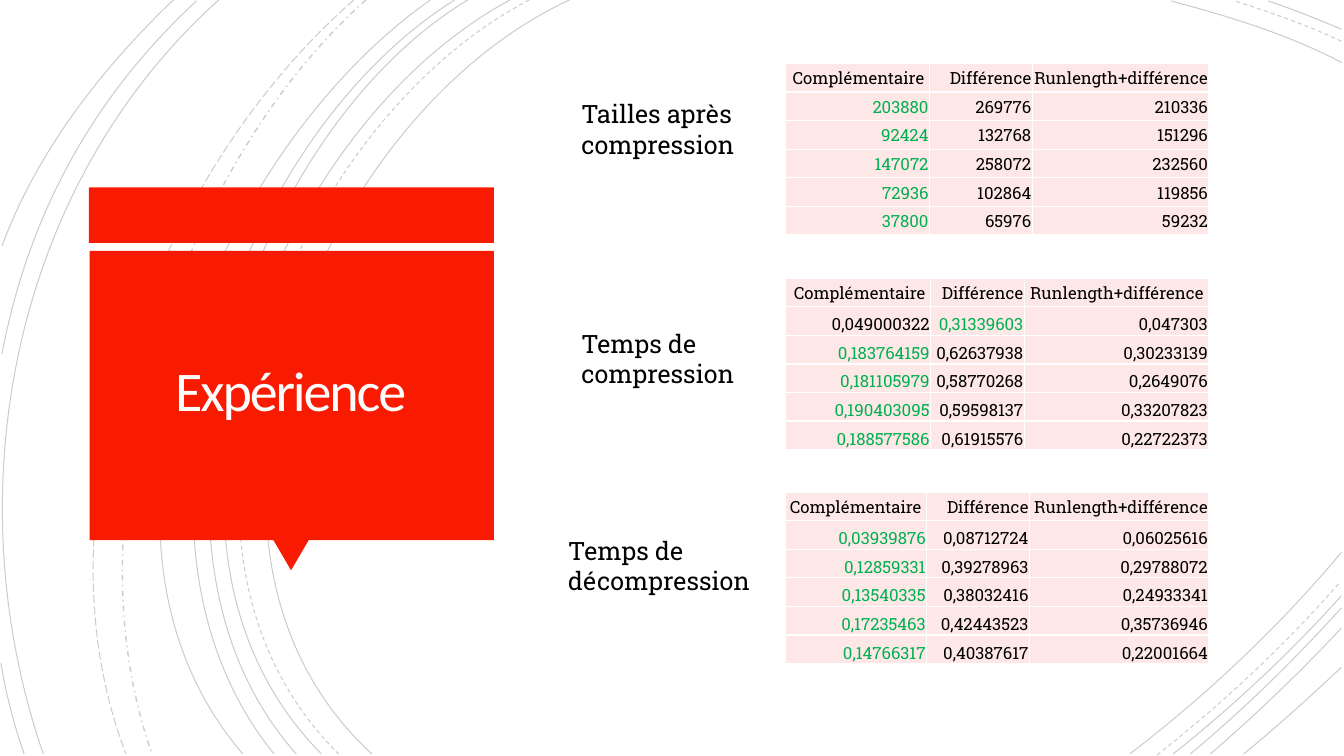
"""Build the slide comparing compression sizes and times."""
from dataclasses import dataclass
from lxml import etree
from pptx import Presentation, oxml, util as u
from pptx.dml.color import RGBColor
from pptx.enum import dml, shapes as sh, text as tx
from pptx.oxml import ns


@dataclass(frozen=True)
class Theme:
    """Colours, fonts and type sizes."""
    red: str = "F81B02"
    pink: str = "FEE8E7"
    green: str = "00B050"
    ink: str = "000000"
    white: str = "FFFFFF"
    pale: str = "FFFEFF"
    head: str = "Calibri"
    body: str = "Roboto Slab"
    big: int = 40
    mid: int = 18
    small: int = 12


LOOK = Theme()
UNIT = u.Cm(0.0254)
SOLID, DASH = dml.MSO_LINE.SOLID, dml.MSO_LINE.DASH
LONG, DOT = dml.MSO_LINE.LONG_DASH, dml.MSO_LINE.DASH_DOT

ARCS = [
    (SOLID, (565, 0), (315, 115), (143, 540), (369, 748)),
    (SOLID, (1331, 62), (1278, 34), (1218, 16), (1162, 1)),
    (SOLID, (1121, 748), (1197, 690), (1269, 622), (1331, 548)),
    (DASH, (525, 0), (285, 125), (123, 537), (336, 748)),
    (DASH, (1331, 41), (1297, 25), (1260, 12), (1225, 1)),
    (DASH, (1148, 749), (1213, 698), (1275, 640), (1330, 577)),
    (SOLID, (506, 0), (270, 127), (110, 537), (319, 748)),
    (SOLID, (1331, 29), (1307, 19), (1283, 9), (1258, 1)),
    (SOLID, (1164, 748), (1223, 701), (1280, 648), (1331, 591)),
    (SOLID, (464, 0), (244, 133), (110, 541), (294, 748)),
    (SOLID, (1181, 748), (1234, 704), (1284, 655), (1331, 603)),
    (SOLID, (451, 0), (231, 138), (97, 533), (272, 748)),
    (SOLID, (1201, 748), (1246, 709), (1290, 667), (1331, 623)),
    (SOLID, (427, 0), (217, 147), (53, 529), (241, 748)),
    (SOLID, (1234, 748), (1267, 721), (1299, 692), (1331, 662)),
    (DOT, (363, 0), (176, 166), (65, 509), (151, 748)),
    (LONG, (351, 0), (157, 169), (29, 499), (125, 748)),
    (SOLID, (217, 0), (11, 185), (-46, 490), (43, 748)),
    (SOLID, (195, 1), (92, 96), (28, 214), (2, 351)),
    (SOLID, (1, 658), (6, 689), (14, 719), (24, 748)),
    (SOLID, (172, 0), (100, 69), (37, 150), (2, 244)),
]

HEADS = ["Complémentaire ", "Différence", "Runlength+différence "]
PARTS = [
    ("Tailles après compression", (14.4, 1.6), 4.45, 0.76, (3.63, 2.59, 4.45),
     tx.MSO_ANCHOR.MIDDLE, (0, 0, 0, 0, 0),
     ["203880 269776 210336", "92424 132768 151296", "147072 258072 232560",
      "72936 102864 119856", "37800 65976 59232"]),
    ("Temps de compression", (14.4, 7.01), 4.45, 1.14, (3.66, 2.36, 4.65),
     tx.MSO_ANCHOR.BOTTOM, (1, 0, 0, 0, 0),
     ["0,049000322 0,31339603 0,047303", "0,183764159 0,62637938 0,30233139",
      "0,181105979 0,58770268 0,2649076", "0,190403095 0,59598137 0,33207823",
      "0,188577586 0,61915576 0,22722373"]),
    ("Temps de décompression", (14.07, 12.4), 5.33, 0.96, (3.56, 2.59, 4.52),
     tx.MSO_ANCHOR.BOTTOM, (0, 0, 0, 0, 0),
     ["0,03939876 0,08712724 0,06025616", "0,12859331 0,39278963 0,29788072",
      "0,13540335 0,38032416 0,24933341", "0,17235463 0,42443523 0,35736946",
      "0,14766317 0,40387617 0,22001664"]),
]
GRID_X, ROW = 19.79, 0.72


def style(para, face, size, hue):
    """Format every run of a paragraph."""
    for run in para.runs:
        run.font.name, run.font.size = face, u.Pt(size)
        run.font.color.rgb = RGBColor.from_string(hue)


def pad(frame, left, top, right, low):
    """Set the four margins of a cell or text frame."""
    frame.margin_left, frame.margin_top = u.Cm(left), u.Cm(top)
    frame.margin_right, frame.margin_bottom = u.Cm(right), u.Cm(low)


def arc(slide, x, y, dash, start, *rest):
    """Draw one faint curve from its start and three Bezier points."""
    form = slide.shapes.build_freeform(*start, scale=UNIT)
    form.add_line_segments(rest, close=False)
    curve = form.convert_to_shape(u.Cm(x), u.Cm(y))
    curve.shadow.inherit = False
    curve.fill.background()
    line = curve.line
    line.width = u.Pt(1 if dash == DOT else 0.75)
    line.color.rgb = RGBColor.from_string(LOOK.ink)
    line.dash_style = dash
    tint = curve._element.find(".//" + ns.qn("a:ln")).find(".//" + ns.qn("a:srgbClr"))
    etree.SubElement(tint, ns.qn("a:alpha"), val="20000")
    steps = list(curve._element.iter(ns.qn("a:lnTo")))
    bend = etree.SubElement(steps[0].getparent(), ns.qn("a:cubicBezTo"))
    for step in steps:
        bend.append(step[0])
        step.getparent().remove(step)


def rings(slide, x, y):
    """Draw the background curves."""
    for item in ARCS:
        arc(slide, x, y, *item)


def block(slide, kind, x, y, wide, high):
    """Add one plain red shape."""
    item = slide.shapes.add_shape(kind, u.Cm(x), u.Cm(y), u.Cm(wide), u.Cm(high))
    item.shadow.inherit = False
    item.fill.solid()
    item.fill.fore_color.rgb = RGBColor.from_string(LOOK.red)
    item.line.fill.background()
    return item


def banner(slide, x, y, wide):
    """Place the red panel and its title."""
    box = sh.MSO_SHAPE.RECTANGLE
    block(slide, box, x, y, wide, 1.4)
    tip = block(slide, sh.MSO_SHAPE.ISOSCELES_TRIANGLE, x + 4.65, y + 8.89, 0.89, 0.76)
    tip.rotation = 180
    block(slide, box, x + 0.02, y + 1.6, wide - 0.02, 7.29)
    title = slide.shapes.title
    slide.shapes._spTree.append(title._element)
    title.left, title.top = u.Cm(x + 0.22), u.Cm(y + 1.81)
    title.width, title.height = u.Cm(wide - 0.48), u.Cm(6.83)
    frame = title.text_frame
    frame.text = "Expérience"
    frame.word_wrap = True
    frame.auto_size = tx.MSO_AUTO_SIZE.NONE
    frame.vertical_anchor = tx.MSO_ANCHOR.MIDDLE
    pad(frame, 0.64, 0.64, 0.64, 0.64)
    para = frame.paragraphs[0]
    para.alignment, para.line_spacing = tx.PP_ALIGN.CENTER, 0.85
    style(para, LOOK.head, LOOK.big, LOOK.pale)
    para.runs[0].font._element.set("spc", "-150")


def fill(cell, words, hue, anchor):
    """Fill one table cell with white borders and a pink ground."""
    cell.text_frame.text = words
    cell.vertical_anchor = anchor
    pad(cell, 0.02, 0.02, 0.02, 0)
    para = cell.text_frame.paragraphs[0]
    para.alignment = tx.PP_ALIGN.RIGHT
    style(para, LOOK.body, LOOK.small, hue)
    prop = cell._tc.get_or_add_tcPr()
    for side in "LRTB":
        prop.append(oxml.parse_xml(
            f'<a:ln{side} {ns.nsdecls("a")} w="12700"><a:solidFill>'
            f'<a:srgbClr val="{LOOK.white}"/></a:solidFill></a:ln{side}>'))
    cell.fill.solid()
    cell.fill.fore_color.rgb = RGBColor.from_string(LOOK.pink)


def result(slide, name, spot, wide, drop, cols, anchor, best, data):
    """Place one label and its table of results."""
    x, y = spot
    frame = slide.shapes.add_textbox(
        u.Cm(x), u.Cm(y + drop), u.Cm(wide), u.Cm(1.8)).text_frame
    frame.text = name
    frame.word_wrap = True
    style(frame.paragraphs[0], LOOK.body, LOOK.mid, LOOK.ink)
    rows = [HEADS] + [line.split() for line in data]
    grid = slide.shapes.add_table(
        len(rows), len(cols), u.Cm(GRID_X), u.Cm(y),
        u.Cm(sum(cols)), u.Cm(ROW * len(rows))).table
    grid.first_row = grid.horz_banding = False
    for col, size in zip(grid.columns, cols):
        col.width = u.Cm(size)
    for r, (row, mark) in enumerate(zip(rows, (None, *best))):
        place = anchor if r else tx.MSO_ANCHOR.MIDDLE
        for c, words in enumerate(row):
            fill(grid.cell(r, c), words, LOOK.green if c == mark else LOOK.ink, place)


def main():
    """Build and save the deck."""
    deck = Presentation()
    deck.slide_width, deck.slide_height = u.Cm(33.87), u.Cm(19.05)
    slide = deck.slides.add_slide(deck.slide_layouts[5])
    rings(slide, 0, 0)
    banner(slide, 2.24, 4.72, 10.21)
    for part in PARTS:
        result(slide, *part)
    deck.save("out.pptx")


main()
